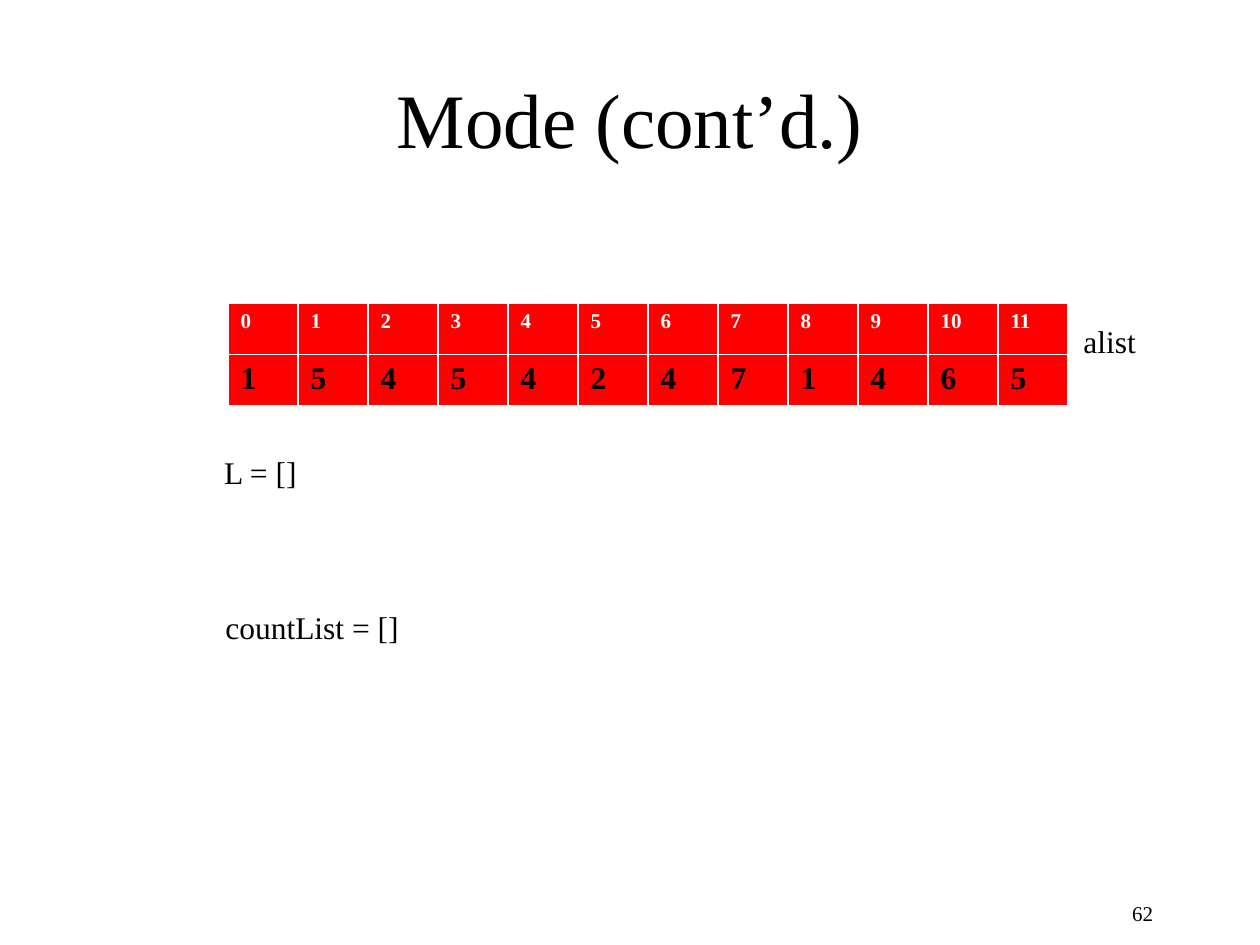
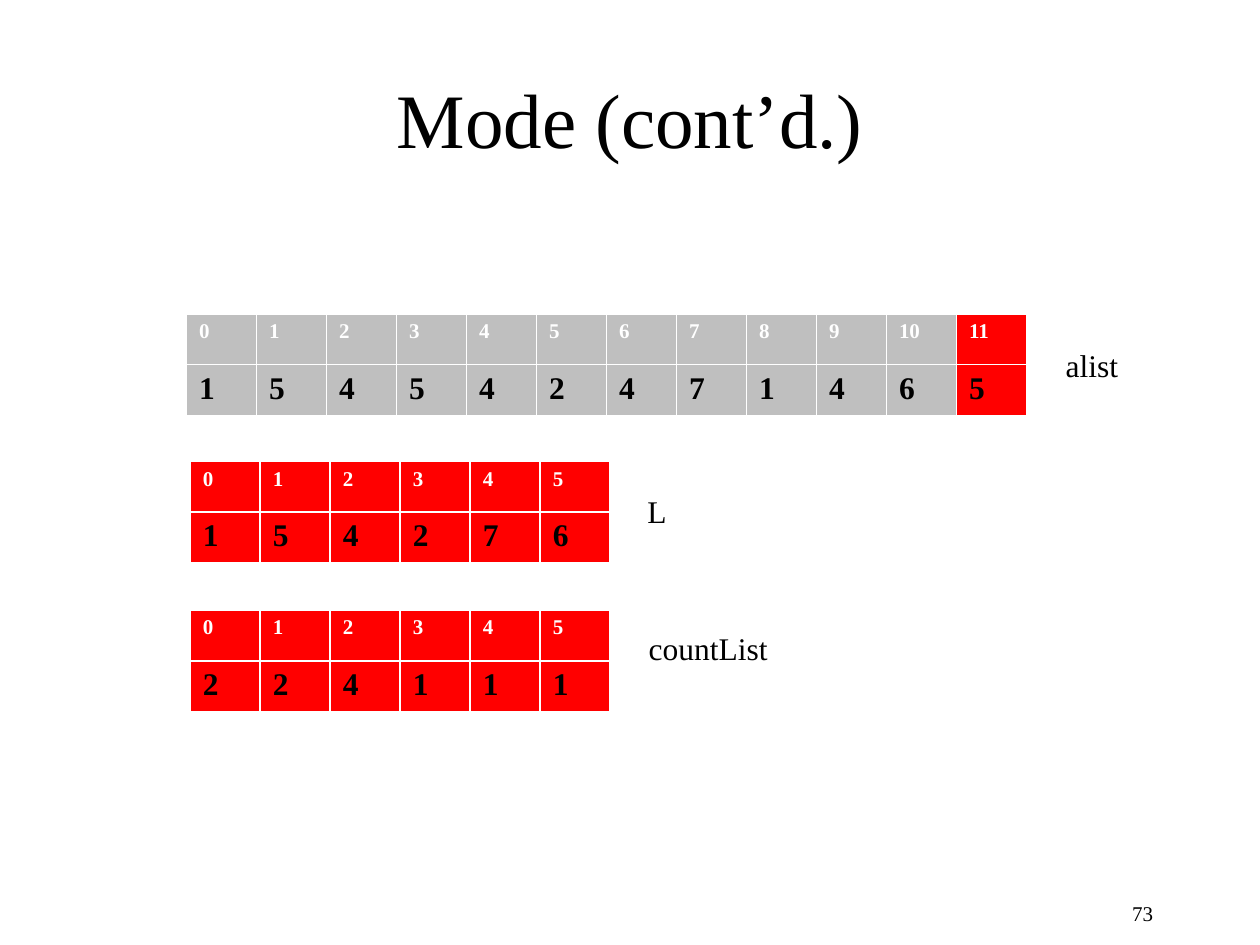
from dataclasses import dataclass

from pptx import Presentation
from pptx.dml.color import RGBColor
from pptx.enum.text import MSO_ANCHOR, PP_ALIGN
from pptx.slide import Slide
from pptx.text.text import TextFrame
from pptx.util import Inches, Pt

BLACK = RGBColor(0x00, 0x00, 0x00)
WHITE = RGBColor(0xFF, 0xFF, 0xFF)
RED = RGBColor(0xFF, 0x00, 0x00)
GRAY = RGBColor(0xBF, 0xBF, 0xBF)

LEFT = PP_ALIGN.LEFT
CENTER = PP_ALIGN.CENTER
RIGHT = PP_ALIGN.RIGHT
TOP = MSO_ANCHOR.TOP
MIDDLE = MSO_ANCHOR.MIDDLE

FONT_NAME = "Times New Roman"
TITLE = "Mode (cont’d.)"
TITLE_ONLY_LAYOUT = 5
CELLS_WIDTH = 6.67
CELLS_PER_WIDTH = 12
ARRAY_HEIGHT = 0.81
LABEL_HEIGHT = 0.4
ALIST = (1, 5, 4, 5, 4, 2, 4, 7, 1, 4, 6, 5)


@dataclass(frozen=True)
class Label:
    text: str
    left: float
    top: float
    width: float


@dataclass(frozen=True)
class ArrayTable:
    values: tuple[int, ...]
    left: float
    top: float
    visited: int = 0


@dataclass(frozen=True)
class ModeSlide:
    number: int
    arrays: tuple[ArrayTable, ...]
    labels: tuple[Label, ...]


MODE_SLIDES = (
    ModeSlide(
        62,
        (ArrayTable(ALIST, 1.81, 2.41),),
        (
            Label("alist", 8.5, 2.51, 0.77),
            Label("L = []", 1.68, 3.55, 1.29),
            Label("countList = []", 1.69, 4.78, 2.55),
        ),
    ),
    ModeSlide(
        73,
        (
            ArrayTable(ALIST, 1.48, 2.49, visited=11),
            ArrayTable((1, 5, 4, 2, 7, 6), 1.51, 3.66),
            ArrayTable((2, 2, 4, 1, 1, 1), 1.51, 4.84),
        ),
        (
            Label("alist", 8.36, 2.7, 0.77),
            Label("L", 5.04, 3.86, 0.77),
            Label("countList", 5.05, 4.94, 1.18),
        ),
    ),
)


def write_text(
    text_frame: TextFrame,
    text: str,
    size: int,
    color: RGBColor = BLACK,
    bold: bool = False,
    alignment: PP_ALIGN = LEFT,
) -> None:
    text_frame.text = text
    paragraph = text_frame.paragraphs[0]
    paragraph.alignment = alignment
    font = paragraph.runs[0].font
    font.name = FONT_NAME
    font.size = Pt(size)
    font.bold = bold
    font.color.rgb = color


def add_title(slide: Slide) -> None:
    title = slide.shapes.title
    title.left, title.top = Inches(0.75), Inches(0.31)
    title.width, title.height = Inches(8.5), Inches(1.25)
    title.text_frame.vertical_anchor = MIDDLE
    write_text(title.text_frame, TITLE, 44, alignment=CENTER)


def add_text(
    slide: Slide,
    label: Label,
    height: float = LABEL_HEIGHT,
    size: int = 18,
    alignment: PP_ALIGN = LEFT,
    anchor: MSO_ANCHOR = TOP,
) -> None:
    text_box = slide.shapes.add_textbox(
        Inches(label.left), Inches(label.top), Inches(label.width), Inches(height)
    )
    text_box.text_frame.word_wrap = True
    text_box.text_frame.vertical_anchor = anchor
    write_text(text_box.text_frame, label.text, size, alignment=alignment)


def add_array(slide: Slide, array: ArrayTable) -> None:
    count = len(array.values)
    table = slide.shapes.add_table(
        2,
        count,
        Inches(array.left),
        Inches(array.top),
        Inches(CELLS_WIDTH * count / CELLS_PER_WIDTH),
        Inches(ARRAY_HEIGHT),
    ).table
    table.horz_banding = False
    for index, value in enumerate(array.values):
        fill_color = GRAY if index < array.visited else RED
        index_cell, value_cell = table.cell(0, index), table.cell(1, index)
        for cell in (index_cell, value_cell):
            cell.fill.solid()
            cell.fill.fore_color.rgb = fill_color
        write_text(index_cell.text_frame, str(index), 12, WHITE, bold=True)
        write_text(value_cell.text_frame, str(value), 18, bold=True)


def main() -> None:
    presentation = Presentation()
    presentation.slide_width = Inches(10)
    presentation.slide_height = Inches(7.5)
    layout = presentation.slide_layouts[TITLE_ONLY_LAYOUT]
    for mode_slide in MODE_SLIDES:
        slide = presentation.slides.add_slide(layout)
        add_title(slide)
        for array in mode_slide.arrays:
            add_array(slide, array)
        for label in mode_slide.labels:
            add_text(slide, label)
        page_number = Label(str(mode_slide.number), 7.17, 7, 2.08)
        add_text(slide, page_number, 0.5, 12, RIGHT, MIDDLE)
    presentation.save("out.pptx")


if __name__ == "__main__":
    main()
